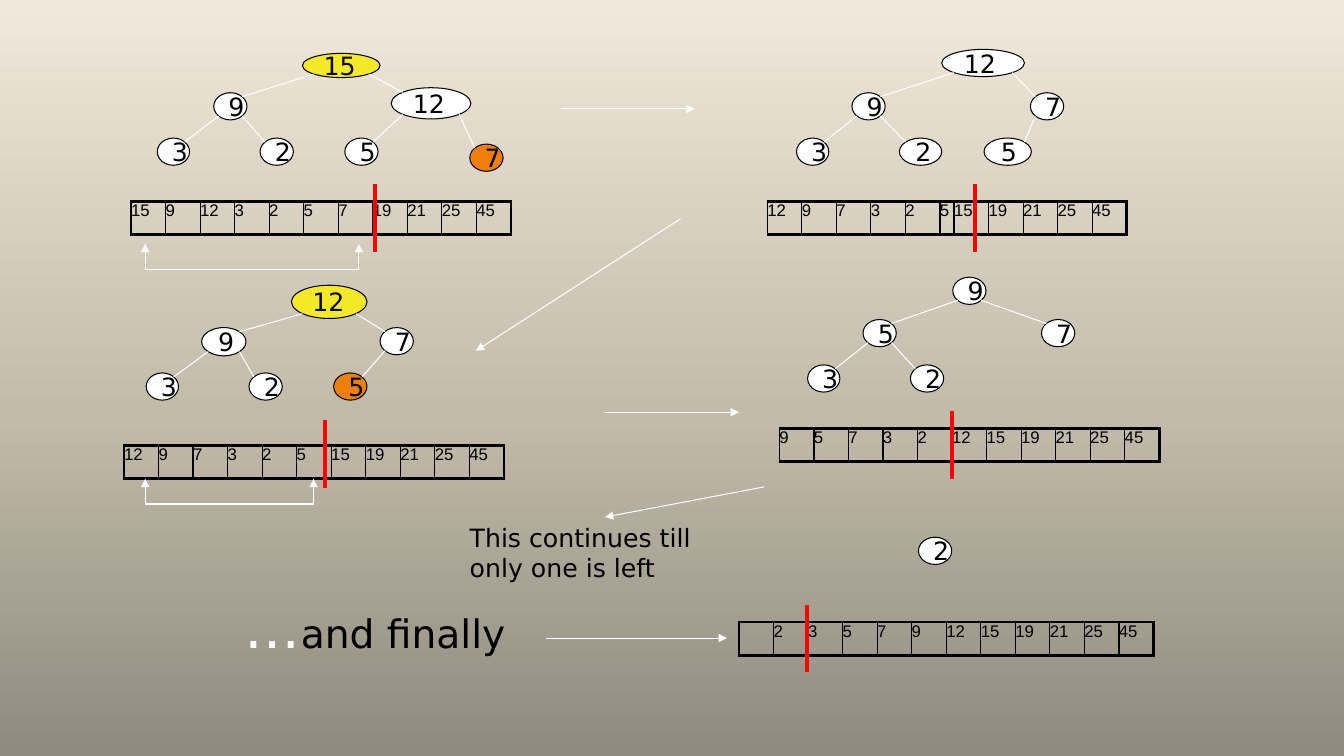
"""Draw the heap sort steps as trees above their arrays."""
from copy import deepcopy

from lxml import etree
from pptx import Presentation
from pptx.dml.color import RGBColor
from pptx.enum.shapes import MSO_CONNECTOR as LINK, MSO_SHAPE as SHAPE
from pptx.enum.text import MSO_ANCHOR as ANCHOR, PP_ALIGN as ALIGN
from pptx.oxml.ns import qn
from pptx.util import Inches, Pt

BLACK, WHITE, RED = "000000", "FFFFFF", "FF0000"
YELLOW, ORANGE = "F3E927", "F07F09"
SANS, ARIAL = "DejaVu Sans", "Arial"
STOPS = [(0, "8E8A7E"), (0.45, "C2BBAA"), (1, "F0E9DB")]

# Each tree is in level order: label, left, top, width, height, fill.
TREES = [
    [("15", 3, 0.53, 0.77, 0.24, YELLOW), ("9", 2.12, 0.92, 0.33, 0.27, WHITE),
     ("12", 3.88, 0.87, 0.79, 0.31, WHITE), ("3", 1.56, 1.37, 0.32, 0.27, WHITE),
     ("2", 2.58, 1.37, 0.33, 0.27, WHITE), ("5", 3.42, 1.37, 0.33, 0.27, WHITE),
     ("7", 4.66, 1.43, 0.33, 0.27, ORANGE)],
    [("12", 9.34, 0.49, 0.82, 0.27, WHITE), ("9", 8.45, 0.92, 0.33, 0.27, WHITE),
     ("7", 10.22, 0.92, 0.33, 0.27, WHITE), ("3", 7.9, 1.37, 0.32, 0.27, WHITE),
     ("2", 8.92, 1.37, 0.42, 0.27, WHITE), ("5", 9.76, 1.37, 0.47, 0.27, WHITE)],
    [("12", 2.89, 2.83, 0.75, 0.33, YELLOW), ("9", 2, 3.25, 0.44, 0.28, WHITE),
     ("7", 3.77, 3.25, 0.33, 0.27, WHITE), ("3", 1.45, 3.7, 0.32, 0.27, WHITE),
     ("2", 2.47, 3.7, 0.33, 0.27, WHITE), ("5", 3.31, 3.7, 0.33, 0.27, ORANGE)],
    [("9", 9.45, 2.75, 0.33, 0.27, WHITE), ("5", 8.56, 3.17, 0.33, 0.27, WHITE),
     ("7", 10.33, 3.17, 0.33, 0.27, WHITE), ("3", 8.01, 3.62, 0.32, 0.27, WHITE),
     ("2", 9.03, 3.62, 0.33, 0.27, WHITE)],
    [("2", 9.11, 5.33, 0.33, 0.27, WHITE)],
]
# Left, top, values, widths that differ by column, marker left and top.
ARRAYS = [
    (1.3, 2, "15 9 12 3 2 5 7 19 21 25 45", {}, (3.72, 1.83)),
    (7.61, 2, "12 9 7 3 2 5 15 19 21 25 45", {5: 0.14}, (9.67, 1.83)),
    (1.23, 4.42, "12 9 7 3 2 5 15 19 21 25 45", {}, (3.22, 4.17)),
    (7.73, 4.25, "9 5 7 3 2 12 15 19 21 25 45", {}, (9.44, 4.08)),
    (7.33, 6.17, " 2 3 5 7 9 12 15 19 21 25 45", {}, (8, 6)),
]
ARROWS = [
    (5.56, 1.08, 6.89, 1.08), (6.75, 2.17, 4.72, 3.48), (6, 4.09, 7.33, 4.09),
    (7.58, 4.83, 6, 5.13), (5.42, 6.33, 7.21, 6.33),
]
SWAPS = [(1.44, 3.56, 2.67), (1.44, 3.11, 5)]
NOTES = [
    ((2.33, 5.83, 3.89, 0.77), [("…", 40, WHITE), ("and finally", 28, BLACK)]),
    ((4.56, 5.13, 2.95, 0.71), [("This continues till only one is left", 18, BLACK)]),
]
CELL, ROW, MARK, RISE = 3.77 / 11, 0.33, 0.67, 0.25
NEAR, FAR = 0.146, 0.854


def tint(code):
    return RGBColor.from_string(code)


def write(frame, text, size=18, color=BLACK, font=SANS):
    para = frame.paragraphs[0]
    para.alignment = ALIGN.LEFT
    run = para.add_run()
    run.text = text
    run.font.size, run.font.name = Pt(size), font
    run.font.color.rgb = tint(color)


def link(x1, y1, x2, y2, color=WHITE, width=0.75, arrow=False):
    line = shapes.add_connector(LINK.STRAIGHT, *map(Inches, (x1, y1, x2, y2)))
    line.line.color.rgb = tint(color)
    line.line.width = Pt(width)
    if arrow:
        etree.SubElement(line.line._get_or_add_ln(), qn("a:tailEnd"), type="triangle")
    etree.SubElement(line._element.spPr, qn("a:effectLst"))


def node(text, x, y, wide, high, fill):
    oval = shapes.add_shape(SHAPE.FLOWCHART_CONNECTOR, *map(Inches, (x, y, wide, high)))
    oval.shadow.inherit = False
    oval.fill.solid()
    oval.fill.fore_color.rgb = tint(fill)
    oval.line.color.rgb = tint(BLACK)
    oval.line.width = Pt(0.75)
    oval.text_frame.word_wrap = True
    oval.text_frame.vertical_anchor = ANCHOR.MIDDLE
    write(oval.text_frame, text)


def tree(nodes):
    for item in nodes:
        node(*item)
    for i, (_, x, y, wide, high, _) in enumerate(nodes[1:], 1):
        _, px, py, pw, ph, _ = nodes[(i - 1) // 2]
        start, end = (NEAR, FAR) if i % 2 else (FAR, NEAR)
        link(px + start * pw, py + FAR * ph, x + end * wide, y + NEAR * high)


def edge(cell, side, width):
    ln = etree.SubElement(cell._tc.get_or_add_tcPr(), qn("a:ln" + side), w=str(Pt(width)))
    fill = etree.SubElement(ln, qn("a:solidFill"))
    etree.SubElement(fill, qn("a:srgbClr"), val=BLACK)


def array(x, y, values, odd, mark):
    items = values.split(" ")
    widths = [odd.get(i, CELL) for i in range(len(items))]
    box = map(Inches, (x, y, sum(widths), ROW))
    table = shapes.add_table(1, len(items), *box).table
    table.first_row = table.horz_banding = False
    table.rows[0].height = Inches(ROW)
    for i, (text, wide) in enumerate(zip(items, widths)):
        table.columns[i].width = Inches(wide)
        cell = table.cell(0, i)
        cell.margin_left = cell.margin_right = cell.margin_top = cell.margin_bottom = 0
        edge(cell, "L", 1 if text else 2.25)
        edge(cell, "R", 2.25 if i == len(items) - 1 else 1)
        edge(cell, "T", 2.25)
        edge(cell, "B", 2.25)
        cell.fill.background()
        if text:
            write(cell.text_frame, text, size=12, font=ARIAL)
    left, top = mark
    link(left, top, left, top + MARK, color=RED, width=2.75)


def swap(x1, x2, y):
    for x in (x1, x2):
        link(x, y, x, y - RISE, arrow=True)
    link(x1, y, x2, y)


def note(box, parts):
    frame = shapes.add_textbox(*map(Inches, box)).text_frame
    frame.word_wrap = True
    for text, size, color in parts:
        write(frame, text, size=size, color=color)


def paint(slide):
    fill = slide.background.fill
    fill.gradient()
    fill.gradient_angle = 90
    stops = slide._element.find(".//" + qn("a:gsLst"))
    stops.append(deepcopy(stops[0]))
    for stop, (place, code) in zip(fill.gradient_stops, STOPS):
        stop.position = place
        stop.color.rgb = tint(code)


deck = Presentation()
deck.slide_width, deck.slide_height = Inches(13.33), Inches(7.5)
page = deck.slides.add_slide(deck.slide_layouts[6])
shapes = page.shapes
paint(page)
for nodes in TREES:
    tree(nodes)
for item in ARRAYS:
    array(*item)
for ends in ARROWS:
    link(*ends, arrow=True)
for item in SWAPS:
    swap(*item)
for item in NOTES:
    note(*item)
deck.save("out.pptx")
